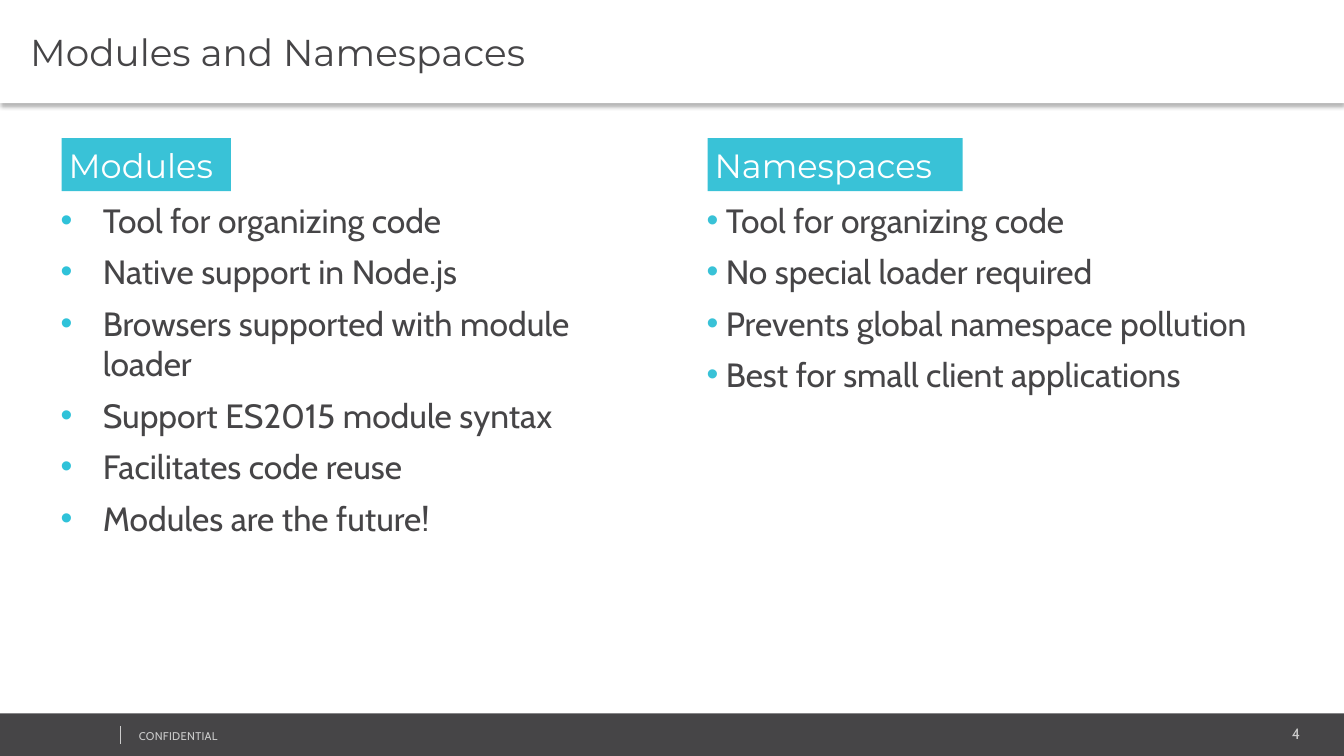
from lxml import etree
from pptx import Presentation
from pptx.dml.color import RGBColor as RGB
from pptx.enum.shapes import MSO_CONNECTOR as Connector, MSO_SHAPE as Shape
from pptx.enum.text import MSO_ANCHOR as Anchor, MSO_AUTO_SIZE as AutoSize, PP_ALIGN as Align
from pptx.oxml import parse_xml
from pptx.oxml.ns import nsdecls, qn
from pptx.util import Cm, Pt

DARK, PALE, WHITE, CYAN = "464547", "CCCCCC", "FFFFFF", "39C2D7"
TITLE_FONT, BODY_FONT = "Montserrat", "Cabin"


def paint(color_holder, color):
    """Give a fill, or a font, a solid colour."""
    if hasattr(color_holder, "solid"):
        color_holder.solid()
        color_holder = color_holder.fore_color
    else:
        color_holder = color_holder.color
    color_holder.rgb = RGB.from_string(color)


def write(box, place, lines, font, size, color, margins, **para_format):
    """Move a box, set its frame and fill it with one paragraph per line."""
    for name, value in zip(("left", "top", "width", "height"), place):
        setattr(box, name, Cm(value))
    frame = box.text_frame
    frame.text = "\n".join(lines)
    frame.word_wrap = True
    frame.auto_size = AutoSize.NONE
    sides = ("margin_left", "margin_top", "margin_right", "margin_bottom")
    for name, value in zip(sides, margins):
        setattr(frame, name, Cm(value))
    settings = {"alignment": Align.LEFT, "space_before": Pt(0), **para_format}
    for para in frame.paragraphs:
        for name, value in settings.items():
            setattr(para, name, value)
        for span in para.runs:
            for name, value in {"name": font, "size": Pt(size), "bold": False}.items():
                setattr(span.font, name, value)
            paint(span.font, color)
    return frame


deck = Presentation()
deck.slide_width, deck.slide_height = Cm(33.87), Cm(19.05)
page = deck.slides.add_slide(deck.slide_layouts.get_by_name("Comparison"))
holders = page.placeholders

# Title band with a soft shadow below it
title = page.shapes.title
frame = write(title, (0, 0, 33.87, 2.6), ["Modules and Namespaces"],
              TITLE_FONT, 26.7, DARK, (0.76, 0.1, 0.18, 0.1))
frame.vertical_anchor = Anchor.MIDDLE
paint(title.fill, WHITE)
title._element.spPr.append(parse_xml(
    f'<a:effectLst {nsdecls("a")}><a:outerShdw blurRad="39370" dist="25400" dir="5400000">'
    '<a:srgbClr val="000000"><a:alpha val="30000"/></a:srgbClr>'
    '</a:outerShdw></a:effectLst>'))

# Two columns: a coloured heading above a bulleted list
columns = [
    {"heading": "Modules", "holder": 1, "left": 1.35, "widths": (4.27, 15.11),
     "indent": 1.06, "bullet": "2FC2D9",
     "points": ["Tool for organizing code", "Native support in Node.js",
                "Browsers supported with module loader", "Support ES2015 module syntax",
                "Facilitates code reuse", "Modules are the future!"]},
    {"heading": "Namespaces", "holder": 3, "left": 17.63, "widths": (6.43, 14.55),
     "indent": 0.48, "bullet": CYAN,
     "points": ["Tool for organizing code", "No special loader required",
                "Prevents global namespace pollution",
                "Best for small client applications"]},
]
for column in columns:
    heading_width, list_width = column["widths"]
    heading = holders[column["holder"]]
    frame = write(heading, (column["left"] + 0.2, 3.48, heading_width, 1.34),
                  [column["heading"]], TITLE_FONT, 24, WHITE, (0.18, 0.15, 0.18, 0.15))
    frame.vertical_anchor = Anchor.MIDDLE
    paint(heading.fill, CYAN)

    frame = write(holders[column["holder"] + 1], (column["left"], 4.93, list_width, 10.16),
                  column["points"], BODY_FONT, 24, DARK, (0.18, 0.1, 0.18, 0.1),
                  space_after=Pt(8))
    for para in frame.paragraphs:
        props = para._p.get_or_add_pPr()
        indent = Cm(column["indent"])
        props.set("marL", str(indent))
        props.set("indent", str(-indent))
        bullet_color = etree.SubElement(props, qn("a:buClr"))
        etree.SubElement(bullet_color, qn("a:srgbClr"), val=column["bullet"])
        etree.SubElement(props, qn("a:buFont"), typeface="Arial")
        etree.SubElement(props, qn("a:buChar"), char="•")

# Footer bar
bar = page.shapes.add_shape(Shape.RECTANGLE, 0, Cm(17.98), Cm(33.87), Cm(1.07))
bar.shadow.inherit = False
paint(bar.fill, DARK)
bar.line.fill.background()

# Footer divider
divider = page.shapes.add_connector(Connector.STRAIGHT, Cm(3.02), Cm(18.29), Cm(3.02), Cm(18.75))
paint(divider.line.fill, PALE)
divider.line.width = Pt(0.25)
etree.SubElement(divider._element.spPr, qn("a:effectLst"))

# Footer texts
footers = [
    ("CONFIDENTIAL", (3.25, 18.24, 8.59, 0.61), 8, Align.LEFT),
    ("4", (27.48, 18.14, 5.54, 0.71), 10.7, Align.RIGHT),
]
for text, place, size, alignment in footers:
    box = page.shapes.add_textbox(0, 0, 0, 0)
    frame = write(box, place, [text], BODY_FONT, size, PALE,
                  (0.25, 0.13, 0.25, 0.13), alignment=alignment)
    if alignment == Align.LEFT:
        frame.paragraphs[0].runs[0].font._element.set("spc", "20")

deck.save("out.pptx")
